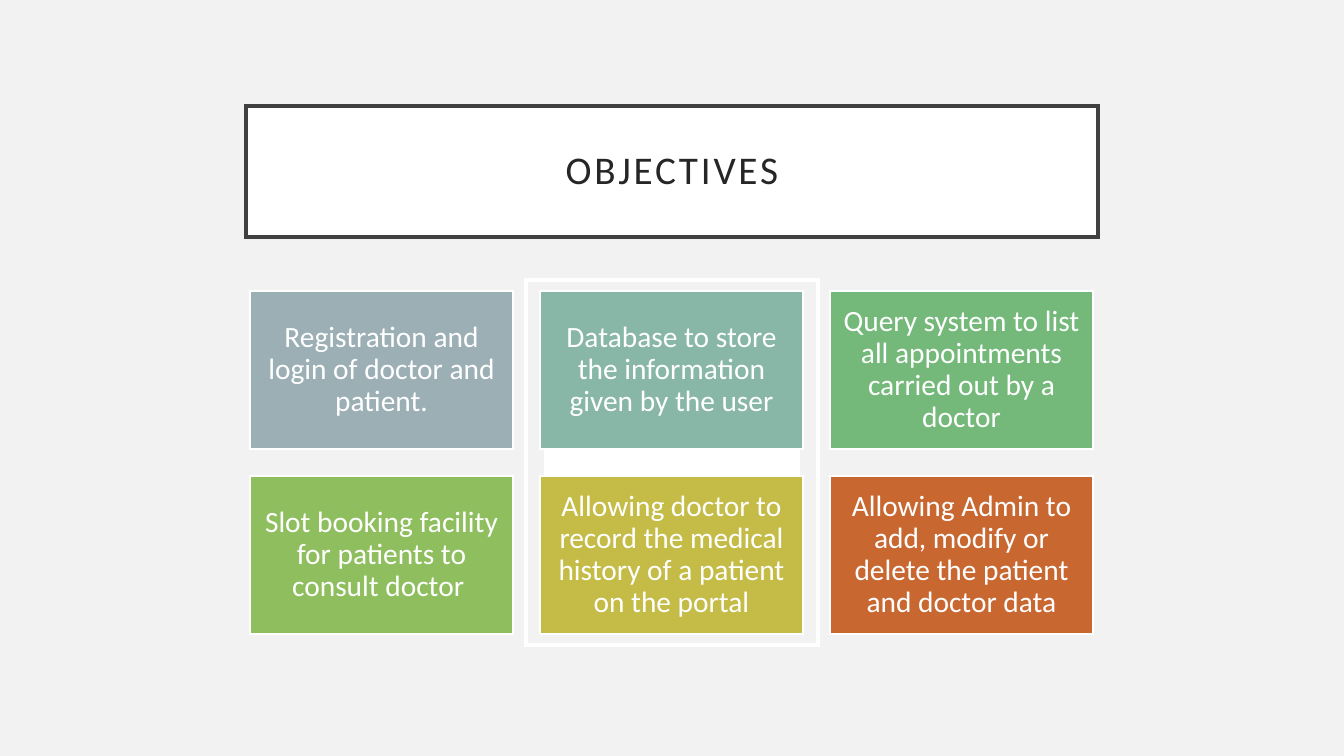
from lxml import etree
from pptx import Presentation, util as u
from pptx.dml.color import RGBColor
from pptx.enum import shapes, text
from pptx.oxml import ns

COLOURS = {
    "background": "F2F2F2", "white": "FFFFFF", "border": "404040", "title": "262626",
    "slate": "9BAFB5", "teal": "88B6A7", "green": "74B97A",
    "lime": "8EBE5E", "mustard": "C4BC47", "rust": "C96731",
}
FONT = "Calibri"
PX_PER_INCH = 100.8


def px(length):
    return u.Emu(round(length * u.Inches(1) / PX_PER_INCH))


def rgb(name):
    return RGBColor.from_string(COLOURS[name])


def write(shape, wording, size, colour, inset, tracking=0):
    """Centre one formatted paragraph inside a shape."""
    frame = shape.text_frame
    frame.word_wrap = True
    frame.auto_size = text.MSO_AUTO_SIZE.NONE
    frame.vertical_anchor = text.MSO_ANCHOR.MIDDLE
    frame.margin_left = frame.margin_right = px(inset)
    frame.margin_top = frame.margin_bottom = px(inset)
    paragraph = frame.paragraphs[0]
    paragraph.alignment = text.PP_ALIGN.CENTER
    paragraph.line_spacing = 0.9
    run = paragraph.add_run()
    run.text = wording
    run.font.name = FONT
    run.font.size = u.Pt(size)
    run.font.color.rgb = rgb(colour)
    if tracking:
        run.font._element.set("spc", str(tracking * 100))


class SlideBuilder:
    def __init__(self, deck):
        self.slide = deck.slides.add_slide(deck.slide_layouts[5])
        fill = self.slide.background.fill
        fill.solid()
        fill.fore_color.rgb = rgb("background")

    def paint(self, shape, fill=None, line=None, weight=1):
        if fill:
            shape.fill.solid()
            shape.fill.fore_color.rgb = rgb(fill)
        else:
            shape.fill.background()
        if line:
            shape.line.color.rgb = rgb(line)
            shape.line.width = u.Pt(weight)
            # Square corners on the outline
            etree.SubElement(shape.line._get_or_add_ln(), ns.qn("a:miter"), lim="800000")
        else:
            shape.line.fill.background()

    def title(self, wording, left, top, width, height):
        heading = self.slide.shapes.title
        heading.left, heading.top = px(left), px(top)
        heading.width, heading.height = px(width), px(height)
        self.paint(heading, "white", "border", 2.5)
        write(heading, wording, 28, "title", inset=20, tracking=2)

    def box(self, left, top, width, height, **look):
        box = self.slide.shapes.add_shape(
            shapes.MSO_SHAPE.RECTANGLE, px(left), px(top), px(width), px(height))
        box.shadow.inherit = False
        self.paint(box, **look)
        return box

    def card(self, wording, left, top, width, height, fill):
        card = self.box(left, top, width, height, fill=fill, line="white")
        write(card, wording, 21, "white", inset=9)


def main():
    deck = Presentation()
    deck.slide_width, deck.slide_height = px(1344), px(756)
    builder = SlideBuilder(deck)

    # Heading
    builder.title("OBJECTIVES", 246, 106, 852, 131)

    # Frame and panel behind the middle column
    builder.box(526, 280, 292, 365, line="white", weight=2.5)
    builder.box(544, 298, 256, 329, fill="white")

    # Objectives in a grid of three columns
    objectives = [
        ("Registration and login of doctor and patient.", "slate"),
        ("Database to store the information given by the user", "teal"),
        ("Query system to list all appointments carried out by a doctor", "green"),
        ("Slot booking facility for patients to consult doctor ", "lime"),
        ("Allowing doctor to record the medical history of a patient on the portal", "mustard"),
        ("Allowing Admin to add, modify or delete the patient and doctor data", "rust"),
    ]
    columns, width, height, gap = 3, 263, 158, 27
    for index, (objective, colour) in enumerate(objectives):
        row, column = divmod(index, columns)
        builder.card(objective, 250 + column * (width + gap), 291 + row * (height + gap),
                     width, height, colour)

    deck.save("out.pptx")


if __name__ == "__main__":
    main()
